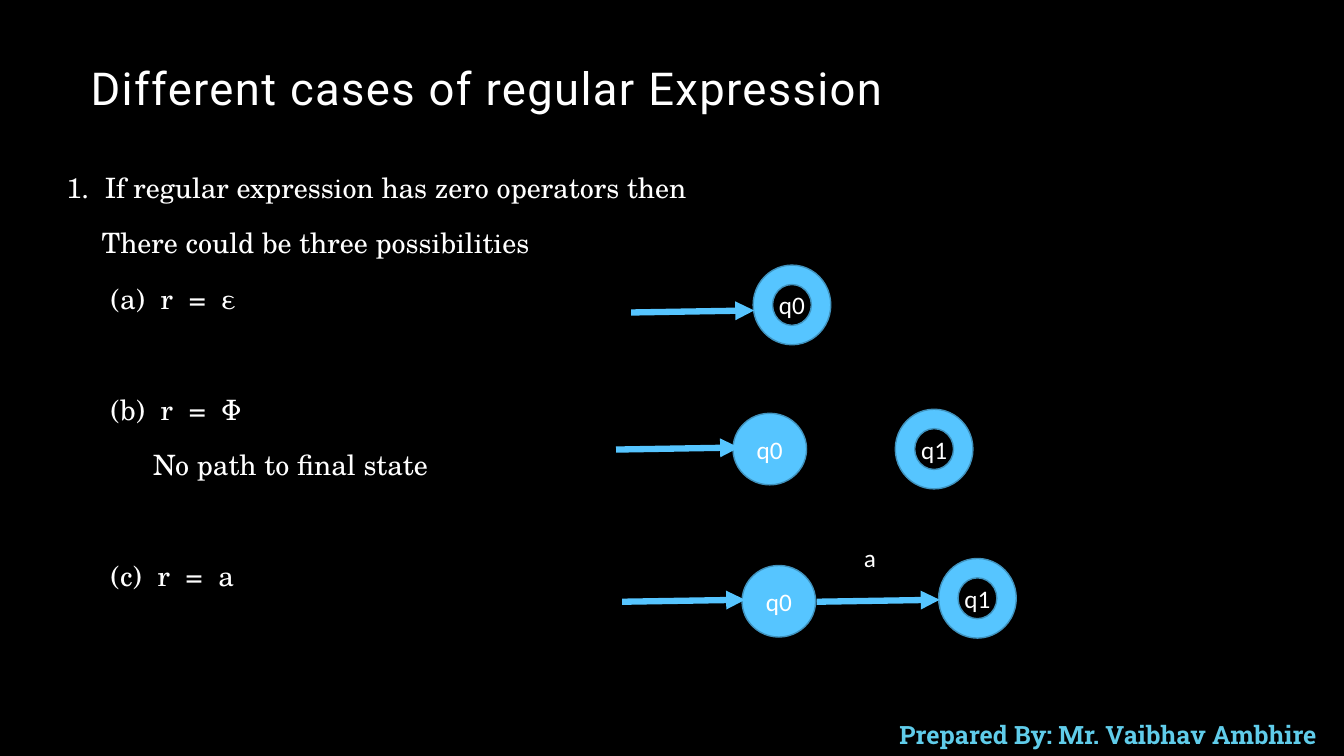
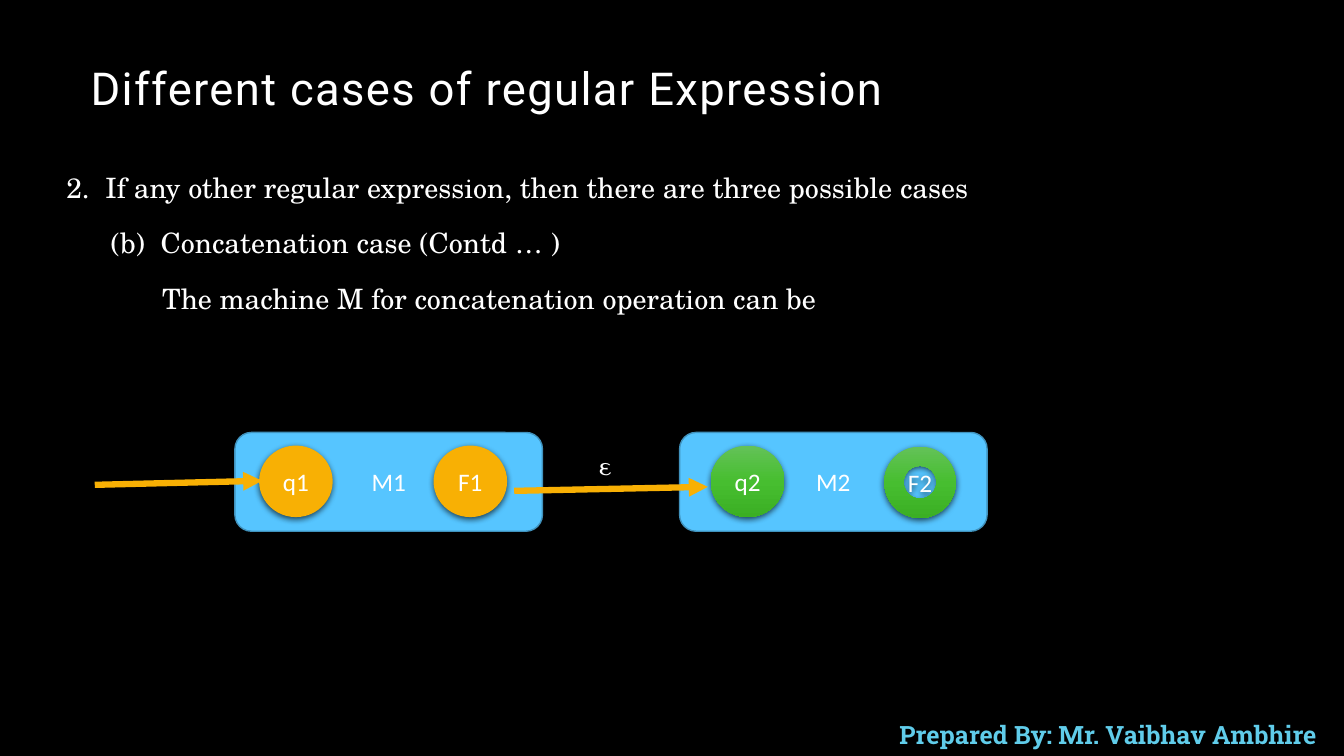
from copy import deepcopy

from lxml import etree
from pptx import Presentation
from pptx.dml.color import RGBColor
from pptx.enum.shapes import MSO_CONNECTOR, MSO_SHAPE
from pptx.enum.text import MSO_ANCHOR, PP_ALIGN
from pptx.oxml.ns import qn
from pptx.util import Inches, Pt

BLACK = RGBColor(0x00, 0x00, 0x00)
WHITE = RGBColor(0xFF, 0xFF, 0xFF)
SKY = RGBColor(0x56, 0xC5, 0xFF)
SKY_EDGE = RGBColor(0x40, 0x92, 0xBD)
FOOTER_BLUE = RGBColor(0x60, 0xCC, 0xEA)
AMBER = RGBColor(0xF8, 0xB0, 0x04)
GREENS = [RGBColor(0x64, 0xC2, 0x58), RGBColor(0x47, 0xBE, 0x30), RGBColor(0x3B, 0xAF, 0x24)]

TITLE_FONT, FOOTER_FONT = "Roboto", "Roboto Slab"
BODY_FONT, LABEL_FONT = "TeX Gyre Schola", "Calibri"

TITLE = "Different cases of regular Expression"
FOOTER = "Prepared By: Mr. Vaibhav Ambhire"

LINE_GAP, SECTION_GAP = 18, 57.6  # points above a paragraph
WIDE_SPACE = 5.6  # points added to the space between parts of a line
CIRCLE, RING, SMALL_RING = (0.73, 0.71), (0.77, 0.79), (0.71, 0.71)
MACHINE = (3.05, 0.98)

# Body lines: indent, gap above, parts. Shapes: kind, text, left, top, size, fill.
# Arrows: start x, start y, length, rise, colour. Labels: text, left, top, font.
SLIDES = [
    {
        "body_size": (6.47, 5.16),
        "body": [
            (0, LINE_GAP, ["1.", "If regular expression has zero operators then"]),
            (0.35, LINE_GAP, ["There could be three possibilities"]),
            (0.44, LINE_GAP, ["(a)", "r", "=", "ε"]),
            (0.44, SECTION_GAP, ["(b)", "r", "=", "Φ"]),
            (0.86, LINE_GAP, ["No path to final state"]),
            (0.44, SECTION_GAP, ["(c)", "r", "=", "a"]),
        ],
        "shapes": [
            (MSO_SHAPE.DONUT, "q0", 7.47, 2.63, RING, SKY),
            (MSO_SHAPE.OVAL, "q0", 7.27, 4.1, CIRCLE, SKY),
            (MSO_SHAPE.DONUT, "q1", 8.88, 4.06, RING, SKY),
            (MSO_SHAPE.OVAL, "q0", 7.36, 5.61, CIRCLE, SKY),
            (MSO_SHAPE.DONUT, "q1", 9.31, 5.54, RING, SKY),
        ],
        "arrows": [
            (6.26, 3.1, 1.22, 0.02, SKY),
            (6.11, 4.46, 1.22, 0.02, SKY),
            (6.17, 5.97, 1.22, 0.02, SKY),
            (8.1, 5.97, 1.22, 0.02, SKY),
        ],
        "labels": [("a", 8.47, 5.33, LABEL_FONT)],
    },
    {
        "body_size": (11.34, 1.69),
        "body": [
            (0, LINE_GAP, ["2.", "If any other regular expression, then there are three possible cases"]),
            (0.44, LINE_GAP, ["(b)", "Concatenation case (Contd … )"]),
            (0.95, LINE_GAP, ["The machine M for concatenation operation can be"]),
        ],
        "shapes": [
            (MSO_SHAPE.ROUNDED_RECTANGLE, "M1", 2.33, 4.29, MACHINE, SKY),
            (MSO_SHAPE.ROUNDED_RECTANGLE, "M2", 6.74, 4.29, MACHINE, SKY),
            (MSO_SHAPE.OVAL, "q1", 2.57, 4.42, CIRCLE, AMBER),
            (MSO_SHAPE.OVAL, "F1", 4.3, 4.42, CIRCLE, AMBER),
            (MSO_SHAPE.OVAL, "q2", 7.05, 4.42, CIRCLE, GREENS),
            (MSO_SHAPE.DONUT, "F2", 8.77, 4.43, SMALL_RING, GREENS),
        ],
        "arrows": [
            (0.94, 4.81, 1.66, 0.04, AMBER),
            (5.1, 4.87, 1.92, 0.04, AMBER),
        ],
        "labels": [("ε", 5.84, 4.42, BODY_FONT)],
    },
]


def style_run(run, font, size=18, color=WHITE, bold=False, spacing=0):
    run.font.name = font
    run.font.size = Pt(size)
    run.font.color.rgb = color
    run.font.bold = bold
    if spacing:
        run.font._element.set("spc", str(round(spacing * 100)))


def add_text(slide, text, left, top, width, height, font, **style):
    box = slide.shapes.add_textbox(Inches(left), Inches(top), Inches(width), Inches(height))
    box.text_frame.word_wrap = True
    paragraph = box.text_frame.paragraphs[0]
    paragraph.text = text
    style_run(paragraph.runs[0], font, **style)
    return box


def add_title(slide):
    box = add_text(slide, TITLE, 0.8, 0.4, 10.44, 0.79, TITLE_FONT, size=32.4, spacing=1)
    box.text_frame.vertical_anchor = MSO_ANCHOR.BOTTOM
    box.text_frame.paragraphs[0].line_spacing = 0.9


def add_footer(slide):
    box = add_text(slide, FOOTER, 8.64, 7.09, 4.7, 0.4, FOOTER_FONT, color=FOOTER_BLUE, bold=True)
    box.text_frame.paragraphs[0].alignment = PP_ALIGN.CENTER


def add_body(slide, lines, size):
    """Write the indented lines, with one widened space between the parts of each."""
    box = slide.shapes.add_textbox(Inches(0.56), Inches(1.68), *map(Inches, size))
    frame = box.text_frame
    frame.word_wrap = True
    for number, (indent, gap, parts) in enumerate(lines):
        paragraph = frame.add_paragraph() if number else frame.paragraphs[0]
        paragraph.line_spacing = 0.9
        paragraph.space_before = Pt(gap)
        paragraph._p.get_or_add_pPr().set("marL", str(Inches(indent)))
        for position, part in enumerate(parts):
            pieces = [(" ", WIDE_SPACE)] if position else []
            for text, spacing in pieces + [(part, 0)]:
                run = paragraph.add_run()
                run.text = text
                style_run(run, BODY_FONT, size=20, spacing=spacing)


def fill_gradient(shape, colors):
    """Fill from top to bottom with evenly spaced colours."""
    shape.fill.gradient()
    shape.fill.gradient_angle = 270
    stop_list = shape._element.spPr.find(qn("a:gradFill")).find(qn("a:gsLst"))
    while len(stop_list) < len(colors):
        stop_list.append(deepcopy(stop_list[0]))
    for number, (stop, color) in enumerate(zip(shape.fill.gradient_stops, colors)):
        stop.position = number / (len(colors) - 1)
        stop.color.rgb = color


def add_soft_shadow(shape):
    effects = shape._element.spPr.find(qn("a:effectLst"))
    shadow = etree.SubElement(effects, qn("a:outerShdw"), blurRad=str(Pt(4.5)),
                              dist=str(Pt(1.5)), dir="5400000", algn="ctr", rotWithShape="0")
    color = etree.SubElement(shadow, qn("a:srgbClr"), val=str(BLACK))
    etree.SubElement(color, qn("a:alpha"), val="63000")


def add_diagram_shape(slide, kind, text, left, top, size, fill):
    shape = slide.shapes.add_shape(kind, Inches(left), Inches(top), *map(Inches, size))
    shape.shadow.inherit = False
    if fill is GREENS:
        fill_gradient(shape, fill)
    else:
        shape.fill.solid()
        shape.fill.fore_color.rgb = fill
    if fill is SKY:
        shape.line.color.rgb = SKY_EDGE
        shape.line.width = Pt(1)
    else:
        shape.line.fill.background()
        add_soft_shadow(shape)
    if size is SMALL_RING:
        shape.adjustments[0] = 0.27
    frame = shape.text_frame
    frame.margin_left = frame.margin_right = 0
    frame.vertical_anchor = MSO_ANCHOR.MIDDLE
    frame.text = text
    frame.paragraphs[0].alignment = PP_ALIGN.CENTER
    style_run(frame.paragraphs[0].runs[0], LABEL_FONT)


def add_arrow(slide, x, y, length, rise, color):
    arrow = slide.shapes.add_connector(MSO_CONNECTOR.STRAIGHT, Inches(x), Inches(y),
                                       Inches(x + length), Inches(y - rise))
    arrow.line.color.rgb = color
    arrow.line.width = Pt(4.5)
    properties = arrow._element.spPr
    etree.SubElement(properties.find(qn("a:ln")), qn("a:tailEnd"), type="triangle")
    etree.SubElement(properties, qn("a:effectLst"))


def build_slide(presentation, content):
    slide = presentation.slides.add_slide(presentation.slide_layouts[6])
    add_footer(slide)
    add_title(slide)
    add_body(slide, content["body"], content["body_size"])
    for item in content["shapes"]:
        add_diagram_shape(slide, *item)
    for item in content["arrows"]:
        add_arrow(slide, *item)
    for text, left, top, font in content["labels"]:
        add_text(slide, text, left, top, 0.42, 0.42, font)


def main():
    presentation = Presentation()
    presentation.slide_width = Inches(13.33)
    presentation.slide_height = Inches(7.5)
    background = presentation.slide_master.background.fill
    background.solid()
    background.fore_color.rgb = BLACK
    for content in SLIDES:
        build_slide(presentation, content)
    presentation.save("out.pptx")


if __name__ == "__main__":
    main()
